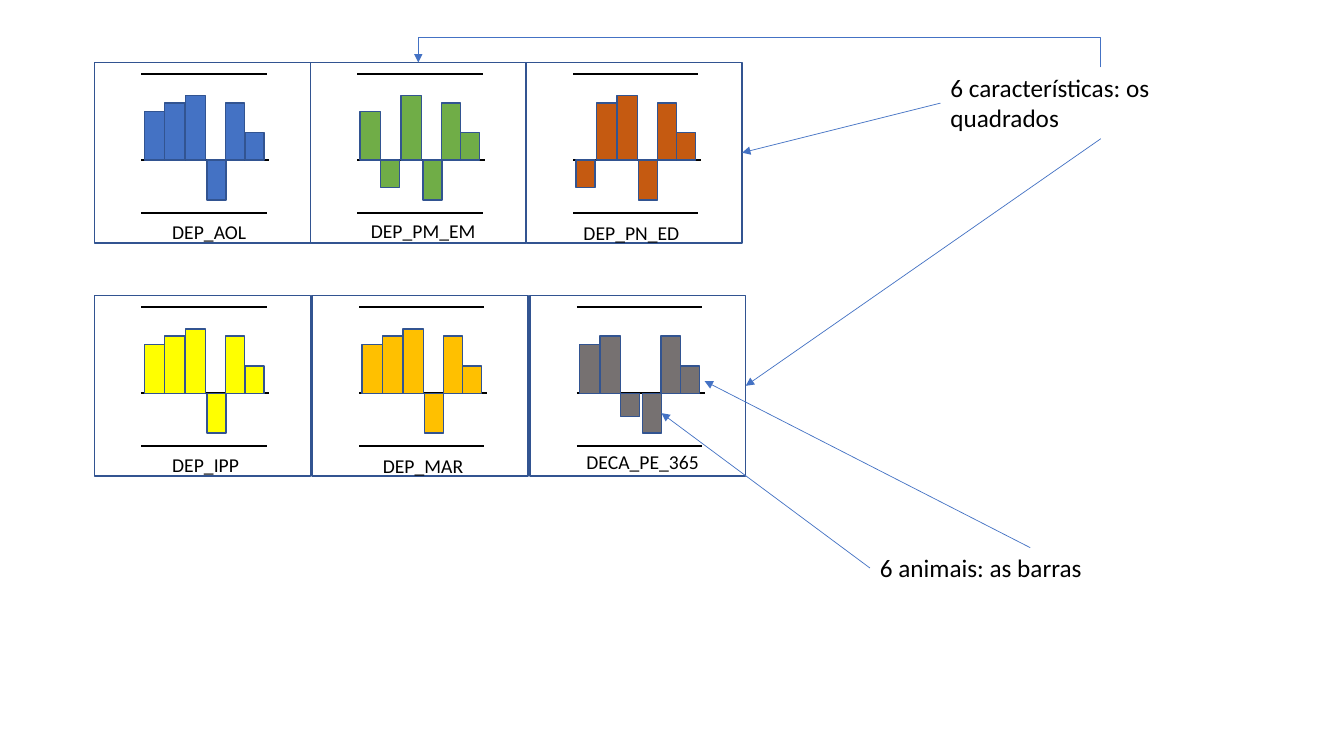
"""Build a slide explaining six panels of bars, with labels and arrows."""
from pptx import Presentation
from pptx.dml.color import RGBColor
from pptx.enum.shapes import MSO_CONNECTOR as Link, MSO_SHAPE as Preset
from pptx.enum.text import MSO_AUTO_SIZE as AutoSize
from pptx.oxml.ns import qn
from pptx.util import Pt
from lxml.etree import SubElement

BLACK = RGBColor(0, 0, 0)
BLUE = RGBColor(0x44, 0x72, 0xC4)
NAVY = RGBColor(0x32, 0x54, 0x91)
GREEN = RGBColor(0x70, 0xAD, 0x47)
RUST = RGBColor(0xC5, 0x5A, 0x11)
YELLOW = RGBColor(0xFF, 0xFF, 0x00)
GOLD = RGBColor(0xFF, 0xC0, 0x00)
GREY = RGBColor(0x76, 0x71, 0x71)

TOP, LEFT, BOTTOM, RIGHT = range(4)
FRAME_LEFT, FRAME_WIDTH, FRAME_HEIGHT = 67.5, 154.2, 129
BASELINE, RULES, RULE_LEFT = 69.8, (8.3, 107.3), 33.5
BAR_LEFTS = (35.5, 50.2, 64.8, 80.4, 93.8, 107.4)
BAR_WIDTHS = (14.6, 14.6, 14.6, 13.6, 13.6, 13.6)
USUAL = (34.8, 40.8, 46, -28.4, 40.8, 19.6)

ROWS = (
    (44.6, 154.2, (
        ("DEP_AOL", BLUE, USUAL, (115.9, 153.4, 77.8)),
        ("DEP_PM_EM", GREEN, (34.8, -19.4, 46, -28.4, 40.8, 19.6), (257.8, 152.6, 90)),
        ("DEP_PN_ED", RUST, (-19.4, 40.8, 46, -28.4, 40.8, 19.6), (409.7, 154.1, 90)),
    )),
    (211.1, 155.5, (
        ("DEP_IPP", YELLOW, USUAL, (115.9, 319.7, 72.7)),
        ("DEP_MAR", GOLD, USUAL, (266.4, 320.4, 73.6)),
        ("DECA_PE_365", GREY, (34.8, 40.8, -16.8, -28.4, 40.8, 19.6), (411.8, 318.2, 105.8)),
    )),
)


def write(box, text, size=14, font="Calibri", color=BLACK):
    span = box.text_frame.paragraphs[0].add_run()
    span.text = text
    span.font.size = Pt(size)
    span.font.name = font
    span.font.color.rgb = color


class Sketch:
    def __init__(self, page, outline=NAVY, arrow_color=BLUE):
        self.page = page
        self.outline = outline
        self.arrow_color = arrow_color

    def rectangle(self, group, left, top, width, height, fill=None):
        box = group.shapes.add_shape(Preset.RECTANGLE, Pt(left), Pt(top), Pt(width), Pt(height))
        box.shadow.inherit = False
        box.line.color.rgb = self.outline
        box.line.width = Pt(1)
        if fill is None:
            box.fill.background()
        else:
            box.fill.solid()
            box.fill.fore_color.rgb = fill
        return box

    def line(self, parent, start, end, color=BLACK, width=1.5, kind=Link.STRAIGHT):
        line = parent.shapes.add_connector(kind, *map(Pt, start + end))
        line.line.color.rgb = color
        line.line.width = Pt(width)
        SubElement(line._element.spPr, qn("a:effectLst"))
        return line

    def arrow(self, source, source_side, target=None, target_side=None, end=(0, 0), kind=Link.STRAIGHT):
        arrow = self.line(self.page, (0, 0), end, self.arrow_color, 0.5, kind)
        SubElement(arrow.get_or_add_ln(), qn("a:tailEnd"), type="triangle")
        arrow.begin_connect(source, source_side)
        if target is not None:
            arrow.end_connect(target, target_side)
        return arrow

    def loop_arrow(self, source, target, rise):
        """Join two top sides with a bent arrow that climbs above the source."""
        arrow = self.arrow(source, TOP, target, TOP, kind=Link.ELBOW)
        span, drop = arrow.width, arrow.height
        center_x, center_y = arrow.left + span // 2, arrow.top + drop // 2
        arrow.left, arrow.top = center_x - drop // 2, center_y - span // 2
        arrow.width, arrow.height = drop, span
        arrow.rotation = 270
        frame = arrow._element.spPr.find(qn("a:xfrm"))
        frame.attrib.pop("flipH", None)
        frame.set("flipV", "1")
        geometry = arrow._element.spPr.find(qn("a:prstGeom"))
        guides = geometry.find(qn("a:avLst"))
        if guides is None:
            guides = SubElement(geometry, qn("a:avLst"))
        SubElement(guides, qn("a:gd"), name="adj1", fmla=f"val {round(Pt(rise) / drop * 100000)}")

    def label(self, text, left, top, width, height=24.2, **style):
        box = self.page.shapes.add_textbox(Pt(left), Pt(top), Pt(width), Pt(height))
        box.text_frame.word_wrap = True
        box.text_frame.auto_size = AutoSize.SHAPE_TO_FIT_TEXT
        write(box, text, **style)
        return box

    def panel(self, left, top, color, heights):
        group = self.page.shapes.add_group_shape()
        frame = self.rectangle(group, left, top, FRAME_WIDTH, FRAME_HEIGHT)
        base = top + BASELINE
        self.line(group, (left + RULE_LEFT, base), (left + 125, base))
        bars = [
            self.rectangle(group, left + offset, base - max(height, 0), width if height > 0 else 13.6,
                           abs(height), color)
            for offset, width, height in zip(BAR_LEFTS, BAR_WIDTHS, heights)
        ]
        for rule in RULES:
            self.line(group, (left + RULE_LEFT, top + rule), (left + 123, top + rule))
        return frame, bars


def main():
    deck = Presentation()
    deck.slide_width, deck.slide_height = Pt(960), Pt(540)
    sketch = Sketch(deck.slides.add_slide(deck.slide_layouts[6]))

    panels = {}
    for top, step, traits in ROWS:
        for column, (name, color, heights, place) in enumerate(traits):
            panels[name] = sketch.panel(FRAME_LEFT + column * step, top, color, heights)
            sketch.label(name, *place)

    traits_label = sketch.label("6 características: os quadrados", 671.8, 48.2, 229, 50.9, size=18)
    animals_label = sketch.label("6 animais: as barras", 621.4, 391.2, 229, 29.1, size=18)

    last_frame, last_bars = panels["DECA_PE_365"]
    sketch.arrow(traits_label, LEFT, panels["DEP_PN_ED"][0], RIGHT)
    sketch.arrow(traits_label, BOTTOM, last_frame, RIGHT)
    sketch.loop_arrow(traits_label, panels["DEP_PM_EM"][0], rise=21.6)
    sketch.arrow(animals_label, LEFT, last_bars[3], RIGHT)
    sketch.arrow(animals_label, TOP, end=(503.3, 272.2))
    deck.save("out.pptx")


if __name__ == "__main__":
    main()
